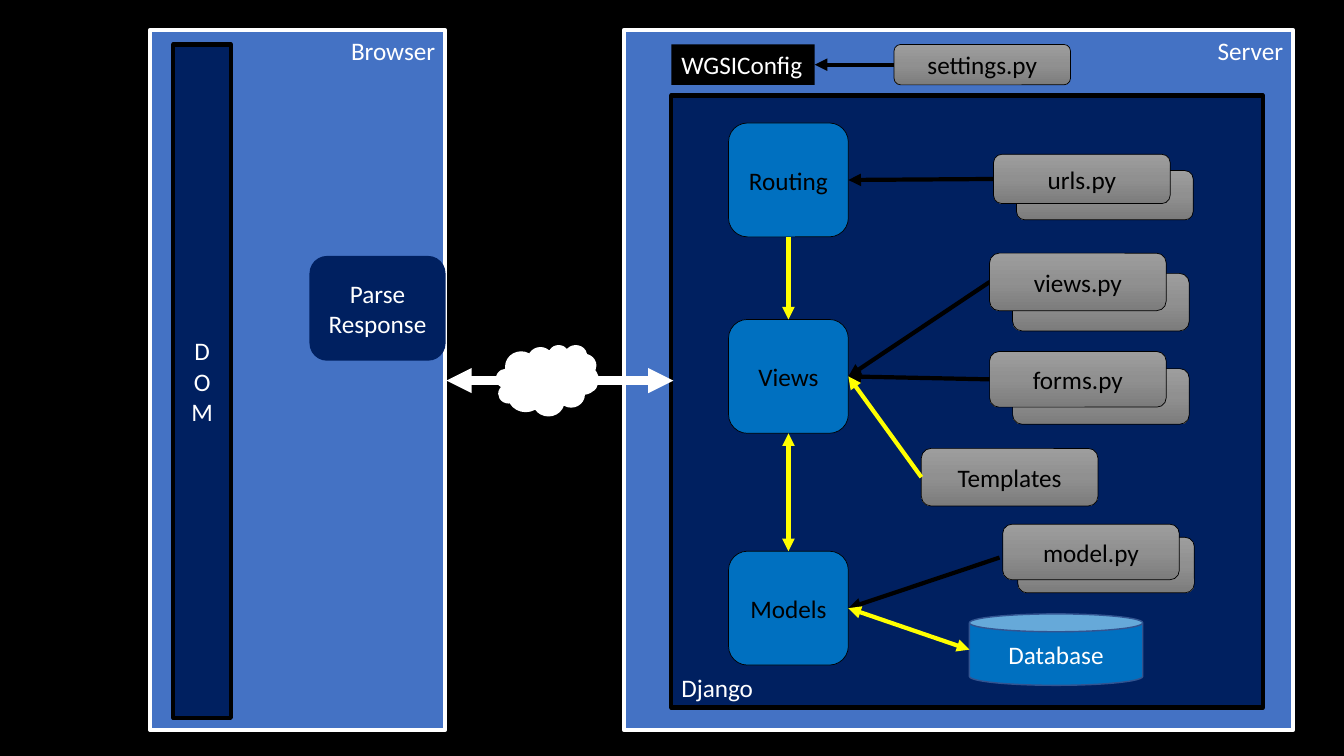
from collections import namedtuple
from copy import deepcopy

from lxml.etree import SubElement
from pptx import Presentation
from pptx.dml.color import RGBColor
from pptx.enum.shapes import MSO_CONNECTOR, MSO_SHAPE
from pptx.enum.text import MSO_ANCHOR, PP_ALIGN
from pptx.oxml.ns import qn
from pptx.util import Cm, Pt

BLACK = RGBColor(0x00, 0x00, 0x00)
WHITE = RGBColor(0xFF, 0xFF, 0xFF)
YELLOW = RGBColor(0xFF, 0xFF, 0x00)
PANEL_BLUE = RGBColor(0x44, 0x72, 0xC4)
NAVY = RGBColor(0x00, 0x20, 0x60)
STEP_BLUE = RGBColor(0x00, 0x70, 0xC0)
CAN_EDGE = RGBColor(0x32, 0x54, 0x91)
GREYS = [RGBColor(0x9D, 0x9D, 0x9D), RGBColor(0x90, 0x90, 0x90), RGBColor(0x7C, 0x7C, 0x7C)]
FONT = "Calibri"


class Box(namedtuple("Box", "left top width height")):
    """A rectangle in centimetres with the middles of its edges."""

    def inner(self, left, top, width, height):
        """Return a box placed relative to this one."""
        return Box(self.left + left, self.top + top, width, height)

    def edge(self, across, down):
        """Return the point at the given fractions of the box."""
        return self.left + across * self.width, self.top + down * self.height

    @property
    def west(self):
        """Return the middle of the left edge."""
        return self.edge(0, 0.5)

    @property
    def east(self):
        """Return the middle of the right edge."""
        return self.edge(1, 0.5)

    @property
    def north(self):
        """Return the middle of the top edge."""
        return self.edge(0.5, 0)

    @property
    def south(self):
        """Return the middle of the bottom edge."""
        return self.edge(0.5, 1)


def write_text(shape, text, color=WHITE, align=PP_ALIGN.CENTER, anchor=MSO_ANCHOR.MIDDLE, wrap=True):
    """Write formatted text into a shape, one paragraph a line."""
    frame = shape.text_frame
    frame.text = text
    frame.word_wrap = wrap
    frame.vertical_anchor = anchor
    for para in frame.paragraphs:
        para.alignment = align
        for span in para.runs:
            span.font.name = FONT
            span.font.size = Pt(18)
            span.font.color.rgb = color


def fill_grey(shape):
    """Fill a shape with the vertical grey gradient."""
    shape.fill.gradient()
    shape.fill.gradient_angle = 270
    first = shape._element.spPr.find(".//" + qn("a:gs"))
    first.addnext(deepcopy(first))
    for index, stop in enumerate(shape.fill.gradient_stops):
        stop.color.rgb = GREYS[index]
        stop.position = index / 2


def add_block(page, box, fill=None, kind=MSO_SHAPE.RECTANGLE, line=None, width=3, text="", **text_format):
    """Add a preset shape, grey when no fill is given."""
    shape = page.shapes.add_shape(kind, *map(Cm, box))
    shape.shadow.inherit = False
    if fill is None:
        fill_grey(shape)
    else:
        shape.fill.solid()
        shape.fill.fore_color.rgb = fill
    if line is None:
        shape.line.fill.background()
    else:
        shape.line.color.rgb = line
        shape.line.width = Pt(width)
    if text:
        write_text(shape, text, **text_format)
    return shape


def add_arrow(page, start, end, color=BLACK, width=3, both=False):
    """Add a straight arrow with a head at its end or at both ends."""
    arrow = page.shapes.add_connector(MSO_CONNECTOR.STRAIGHT, *map(Cm, start + end))
    arrow.line.color.rgb = color
    arrow.line.width = Pt(width)
    outline = arrow.line._get_or_add_ln()
    for tag in ("a:headEnd", "a:tailEnd") if both else ("a:tailEnd",):
        SubElement(outline, qn(tag), type="triangle")
    SubElement(arrow._element.spPr, qn("a:effectLst"))


def add_file(page, box, name, shift=None):
    """Add a grey file card, with a second card behind it when shifted."""
    look = dict(kind=MSO_SHAPE.ROUNDED_RECTANGLE, line=BLACK, width=0.5)
    if shift:
        add_block(page, box.inner(*shift, box.width, box.height), **look)
    add_block(page, box, text=name, color=BLACK, **look)


def add_panel(page, box, name):
    """Add a blue panel with its name at the top right."""
    add_block(page, box, PANEL_BLUE, line=WHITE, text=name, align=PP_ALIGN.RIGHT, anchor=MSO_ANCHOR.TOP)


def build_browser(page, box):
    """Build the browser panel with its document bar and parser."""
    add_panel(page, box, "Browser")
    add_block(page, box.inner(0.59, 0.36, 1.45, 16.97), NAVY, line=BLACK, text="D\nO\nM")
    add_block(page, box.inner(4.02, 5.69, 3.43, 2.64), NAVY, MSO_SHAPE.ROUNDED_RECTANGLE, text="Parse\nResponse")


def build_django(page, box):
    """Build the framework panel with steps, files and flows."""
    add_block(page, box, NAVY, line=BLACK, text="Django", align=PP_ALIGN.LEFT, anchor=MSO_ANCHOR.BOTTOM)
    steps = {}
    for name, top in (("Routing", 0.69), ("Views", 5.64), ("Models", 11.48)):
        steps[name] = box.inner(1.44, top, 3.02, 2.87)
        add_block(page, steps[name], STEP_BLUE, MSO_SHAPE.ROUNDED_RECTANGLE, BLACK, 0.5, name, color=BLACK)
    routing, views, models = steps.values()

    database = box.inner(7.51, 13.06, 4.37, 1.8)
    add_block(page, database, STEP_BLUE, MSO_SHAPE.CAN, CAN_EDGE, 1, "Database")
    templates = box.inner(6.3, 8.89, 4.45, 1.45)
    add_file(page, templates, "Templates")

    files = (
        ("urls.py", routing, 8.12, 1.48, 1.24, (0.58, 0.41), (0, 0)),
        ("views.py", views, 8.02, 3.97, 1.45, (0.58, 0.51), (0, 0)),
        ("forms.py", views, 8.02, 6.45, 1.4, (0.58, 0.43), (0, 0)),
        ("model.py", models, 8.35, 10.8, 1.4, (0.38, 0.33), (-0.08, 0.14)),
    )
    for name, step, left, top, height, shift, nudge in files:
        card = box.inner(left, top, 4.45, height)
        add_arrow(page, (card.west[0] + nudge[0], card.west[1] + nudge[1]), step.east)
        add_file(page, card, name, shift)

    add_arrow(page, templates.west, views.east, YELLOW)
    add_arrow(page, database.west, models.east, YELLOW, both=True)
    add_arrow(page, routing.south, views.north, YELLOW)
    add_arrow(page, models.north, views.south, YELLOW, both=True)


def build_server(page, box):
    """Build the server panel with its configuration and framework."""
    add_panel(page, box, "Server")
    config = box.inner(1.2, 0.36, 3.61, 1.02)
    settings = box.inner(6.81, 0.36, 4.45, 1.02)
    add_block(page, config, BLACK, text="WGSIConfig", align=PP_ALIGN.LEFT, anchor=MSO_ANCHOR.TOP, wrap=False)
    add_file(page, settings, "settings.py")
    add_arrow(page, settings.west, config.east)
    build_django(page, box.inner(1.2, 1.65, 14.91, 15.42))


def build_network(page, box):
    """Build the cloud and the two-way arrow across the box."""
    cloud = add_block(page, box.inner(1.25, 0, 2.59, 1.8), WHITE, MSO_SHAPE.CLOUD_CALLOUT)
    cloud.adjustments[0] = 0.25
    cloud.adjustments[1] = 0.04
    add_arrow(page, box.west, box.east, WHITE, 6, both=True)


def main():
    """Build and save the deck."""
    deck = Presentation()
    deck.slide_width, deck.slide_height = Cm(33.87), Cm(19.05)
    page = deck.slides.add_slide(deck.slide_layouts[6])
    page.background.fill.solid()
    page.background.fill.fore_color.rgb = BLACK
    build_server(page, Box(15.72, 0.76, 16.87, 17.63))
    build_browser(page, Box(3.78, 0.76, 7.44, 17.63))
    build_network(page, Box(11.25, 8.69, 5.72, 1.8))
    deck.save("out.pptx")


main()
